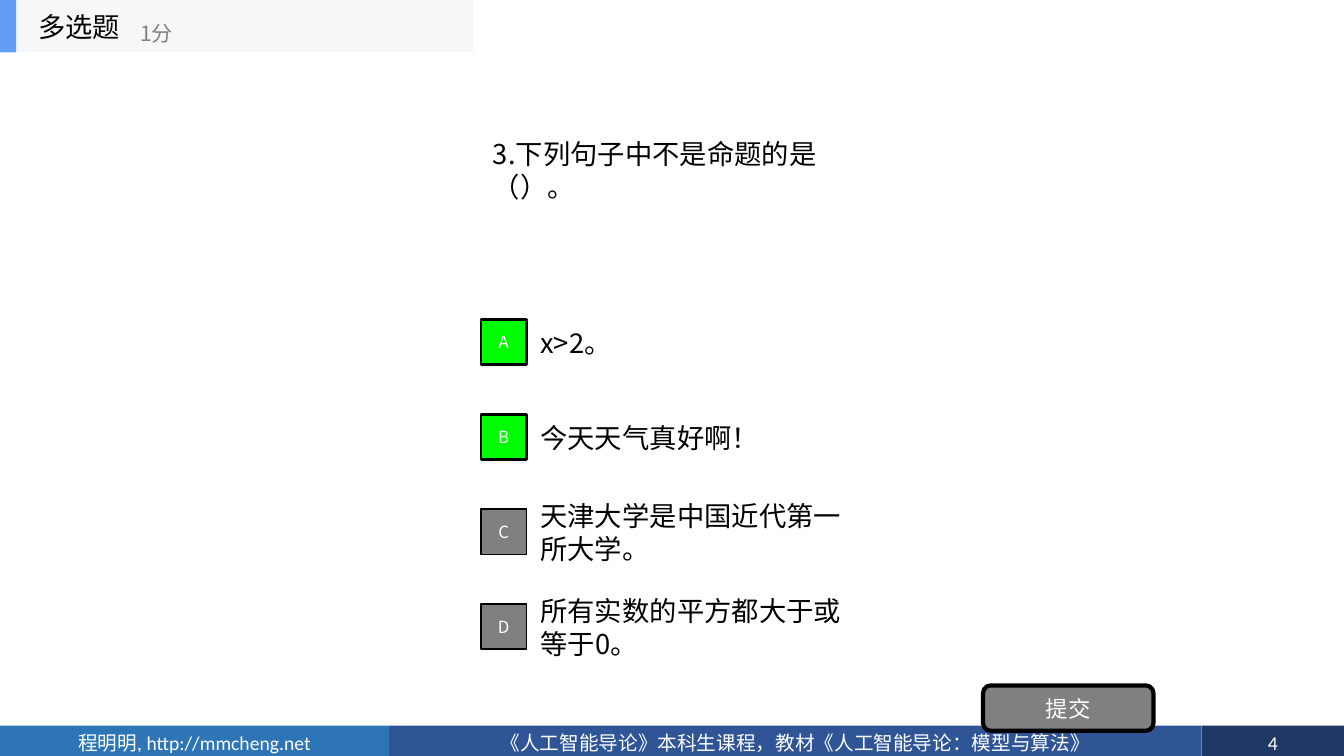
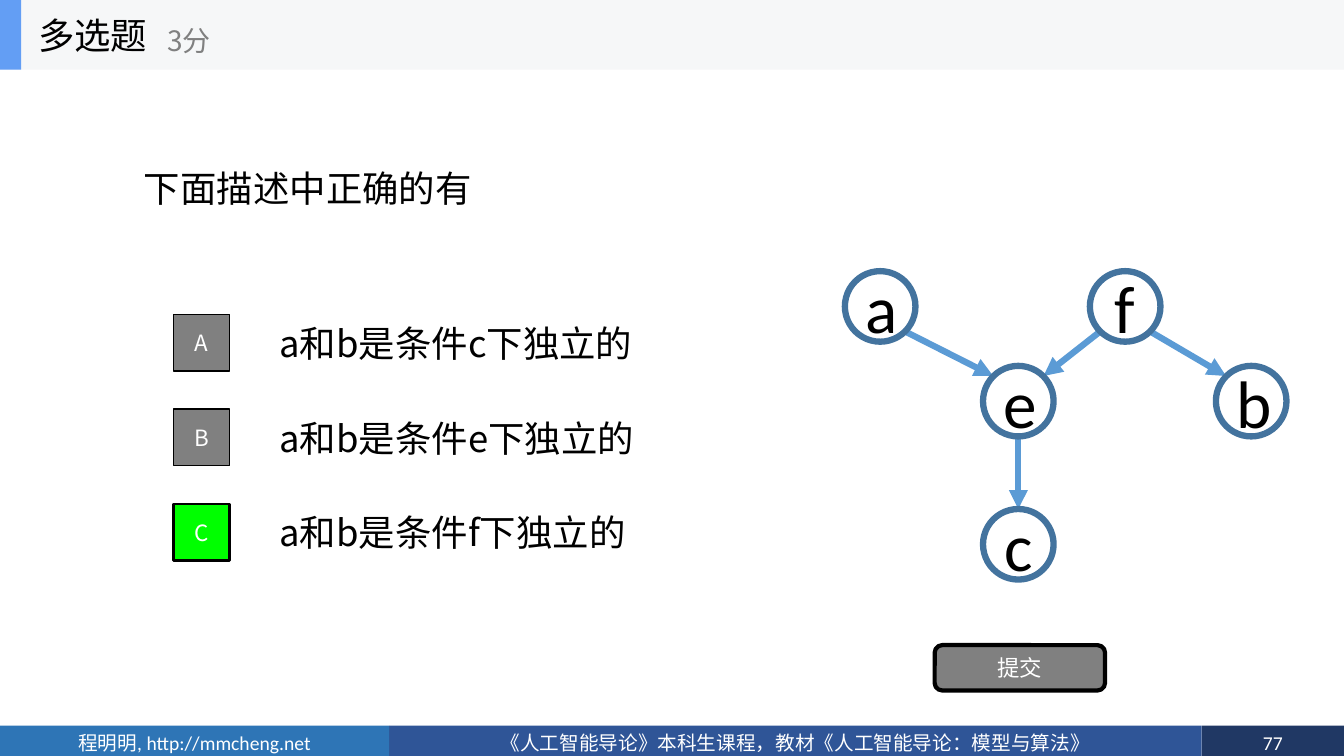
"""Build two multiple-choice quiz slides with a shared header and footer."""
from typing import NamedTuple

from lxml.etree import SubElement
from pptx import Presentation
from pptx.dml.color import RGBColor
from pptx.enum.shapes import MSO_CONNECTOR, MSO_SHAPE
from pptx.enum.text import MSO_ANCHOR, PP_ALIGN
from pptx.oxml.ns import qn
from pptx.util import Emu, Pt

PX = 9144
WIDE, HIGH = 1333, 750
SANS, LATIN = "Noto Sans CJK SC", "Calibri"
COLOR = {
    "black": "000000", "white": "FFFFFF", "gray": "808080", "green": "00FF00",
    "head": "F6F7F8", "tab": "639EF4", "name": "2E75B6", "course": "2F5597",
    "page": "203864", "ring": "43739E", "arrow": "5B9BD5",
}
ROW_TOP, ROW_STEP, ROW_HIGH = 305, 94, 70
FOOT_TOP, FOOT_HIGH = 720, 34
NODE = 70
RADIUS, CORNER = 35, 25


class Box(NamedTuple):
    """Left, top, width and height in px."""
    left: int
    top: int
    width: int
    height: int


class Option(NamedTuple):
    """One answer, its truth and the width of its text."""
    text: str
    right: bool
    width: int


class Quiz(NamedTuple):
    """Content and measures of one quiz slide."""
    page: int
    score: str
    ask: str
    size: float
    small: float
    mark: int
    head: Box
    tab: int
    title: Box
    points: Box
    body: Box
    key: Box
    answer: int
    submit: Box
    options: list[Option]


class Node(NamedTuple):
    """A labelled circle of the graph."""
    name: str
    left: int
    top: int


QUIZZES = [
    Quiz(4, "1分", "3.下列句子中不是命题的是（）。", 19.5, 15, 12,
         Box(0, 0, 469, 52), 16, Box(28, 0, 156, 52), Box(129, 12, 188, 42),
         Box(479, 52, 375, 234), Box(477, 0, 45, 45), 526,
         Box(975, 680, 169, 45),
         [Option("x>2。", True, 328),
          Option("今天天气真好啊！", True, 328),
          Option("天津大学是中国近代第一所大学。", False, 328),
          Option("所有实数的平方都大于或等于0。", False, 328)]),
    Quiz(77, "3分", "下面描述中正确的有", 26, 20, 16,
         Box(0, 0, WIDE, 69), 21, Box(28, 0, 208, 69), Box(156, 12, 250, 56),
         Box(133, 69, 1067, 234), Box(172, 0, 56, 56), 267,
         Box(927, 640, 169, 45),
         [Option("a和b是条件c下独立的", False, 400),
          Option("a和b是条件e下独立的", False, 400),
          Option("a和b是条件f下独立的", True, 414)]),
]
NODES = [Node("a", 838, 269), Node("e", 975, 363), Node("f", 1081, 269),
         Node("b", 1206, 363), Node("c", 975, 505)]
EDGES = ["ae", "fe", "fb", "ec"]


def ink(name: str) -> RGBColor:
    """Return the named colour."""
    return RGBColor.from_string(COLOR[name])


def scale(*values: int) -> list[Emu]:
    """Turn px into EMU."""
    return [Emu(value * PX) for value in values]


def write(shape, text: str, *, size: float, color: str = "black",
          font: str = SANS, center: bool = False) -> None:
    """Set the text of a shape and its format."""
    frame = shape.text_frame
    frame.word_wrap = True
    frame.vertical_anchor = MSO_ANCHOR.MIDDLE
    para = frame.paragraphs[0]
    para.alignment = PP_ALIGN.CENTER if center else PP_ALIGN.LEFT
    run = para.add_run()
    run.text = text
    run.font.size = Pt(size)
    run.font.color.rgb = ink(color)
    run.font.name = font
    SubElement(run.font._element, qn("a:ea"), typeface=SANS)


def label(slide, box: Box, text: str, size: float, color: str = "black") -> None:
    """Add a text box."""
    write(slide.shapes.add_textbox(*scale(*box)), text, size=size, color=color)


def block(slide, box: Box, fill: str | None, kind=MSO_SHAPE.RECTANGLE,
          line: str | None = None, weight: float = 1):
    """Add a flat preset shape."""
    shape = slide.shapes.add_shape(kind, *scale(*box))
    shape.shadow.inherit = False
    if fill:
        shape.fill.solid()
        shape.fill.fore_color.rgb = ink(fill)
    else:
        shape.fill.background()
    if line:
        shape.line.color.rgb = ink(line)
        shape.line.width = Pt(weight)
    else:
        shape.line.fill.background()
    return shape


def foot(slide, page: int) -> None:
    """Draw the footer bands."""
    bands = [("course", 386, 806, "《人工智能导论》本科生课程，教材《人工智能导论：模型与算法》"),
             ("name", 0, 386, "程明明, http://mmcheng.net"),
             ("page", 1192, 141, str(page))]
    for fill, left, width, text in bands:
        band = block(slide, Box(left, FOOT_TOP, width, FOOT_HIGH), fill)
        write(band, text, size=14, color="white", font=LATIN, center=True)


def head(slide, quiz: Quiz) -> None:
    """Draw the header band, title and score."""
    block(slide, quiz.head, "head")
    block(slide, quiz.head._replace(width=quiz.tab), "tab")
    label(slide, quiz.title, "多选题", quiz.size)
    label(slide, quiz.points, quiz.score, quiz.small, "gray")


def choice(slide, quiz: Quiz, index: int, option: Option) -> None:
    """Draw one answer with its lettered key."""
    top = ROW_TOP + index * ROW_STEP
    label(slide, Box(quiz.answer, top, option.width, ROW_HIGH), option.text, quiz.size)
    inset = (ROW_HIGH - quiz.key.height) // 2
    fill, weight = ("green", 2) if option.right else ("gray", 1)
    key = block(slide, quiz.key._replace(top=top + inset), fill,
                line="black", weight=weight)
    write(key, "ABCD"[index], size=quiz.mark, color="white", center=True)


def arrow(slide, start: Node, end: Node) -> None:
    """Link two circles, by their corners unless one is above the other."""
    side = (end.left > start.left) - (end.left < start.left)
    drop = CORNER if side else RADIUS
    shift = side * CORNER
    link = slide.shapes.add_connector(MSO_CONNECTOR.STRAIGHT, *scale(
        start.left + RADIUS + shift, start.top + RADIUS + drop,
        end.left + RADIUS - shift, end.top + RADIUS - drop))
    link.line.color.rgb = ink("arrow")
    link.line.width = Pt(4.5)
    SubElement(link.line._get_or_add_ln(), qn("a:tailEnd"), type="triangle")
    SubElement(link._element.spPr, qn("a:effectLst"))


def graph(slide) -> None:
    """Draw the arrows and circles of the graph."""
    nodes = {node.name: node for node in NODES}
    for start, end in EDGES:
        arrow(slide, nodes[start], nodes[end])
    for node in NODES:
        ring = block(slide, Box(node.left, node.top, NODE, NODE), None,
                     MSO_SHAPE.OVAL, "ring", 4.5)
        write(ring, node.name, size=48, font=LATIN, center=True)


def draw(deck, quiz: Quiz):
    """Add one quiz slide."""
    slide = deck.slides.add_slide(deck.slide_layouts[6])
    foot(slide, quiz.page)
    label(slide, quiz.body, quiz.ask, quiz.size)
    for index, option in enumerate(quiz.options):
        choice(slide, quiz, index, option)
    button = block(slide, quiz.submit, "gray", MSO_SHAPE.ROUNDED_RECTANGLE, "black", 3)
    write(button, "提交", size=16, color="white", center=True)
    head(slide, quiz)
    return slide


def main() -> None:
    """Build and save the deck."""
    deck = Presentation()
    deck.slide_width, deck.slide_height = scale(WIDE, HIGH)
    slides = [draw(deck, quiz) for quiz in QUIZZES]
    graph(slides[-1])
    deck.save("out.pptx")


if __name__ == "__main__":
    main()
